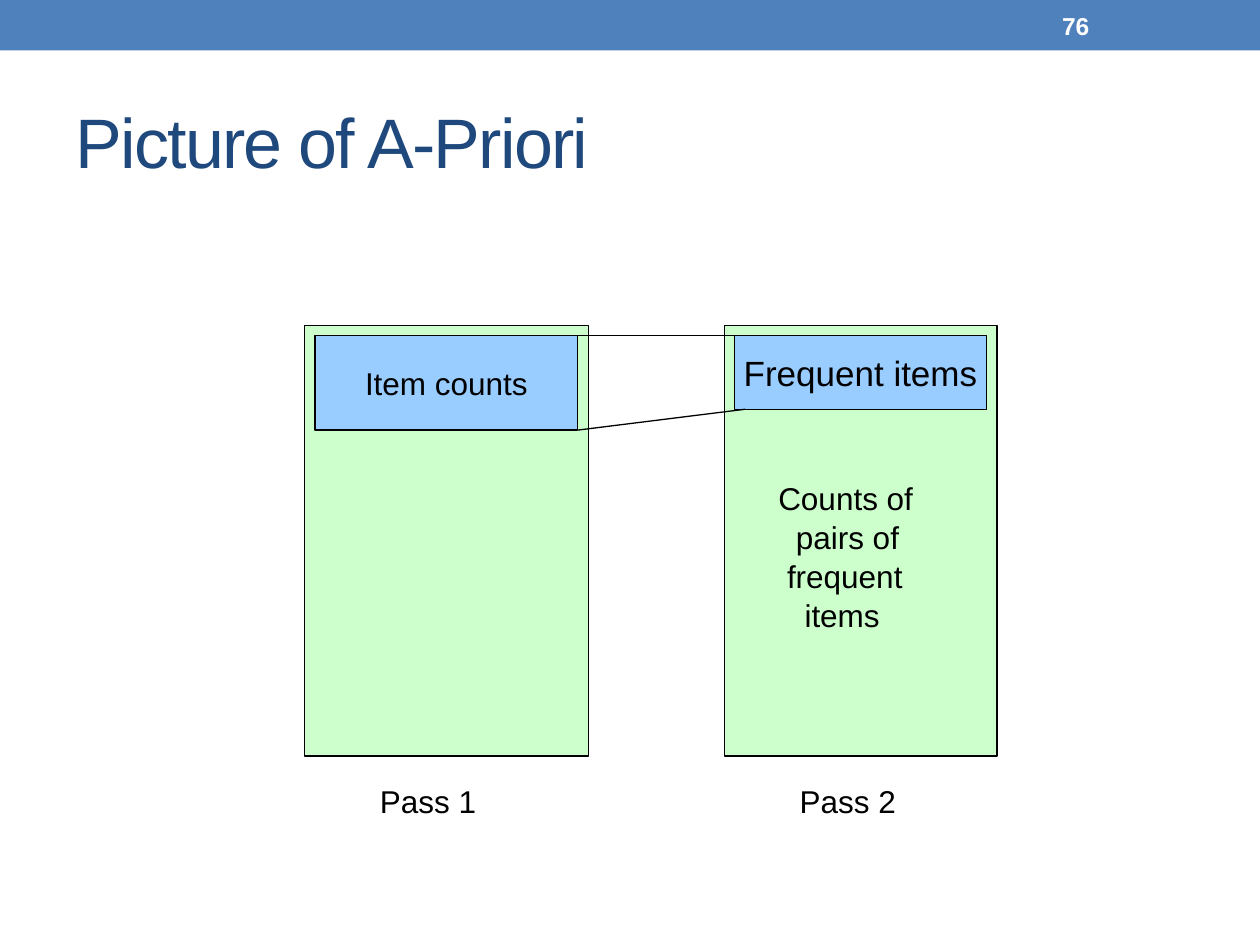
from lxml.etree import SubElement
from pptx import Presentation
from pptx.dml.color import RGBColor
from pptx.enum.shapes import MSO_CONNECTOR, MSO_SHAPE
from pptx.enum.text import MSO_ANCHOR, PP_ALIGN
from pptx.oxml.ns import qn
from pptx.util import Cm, Pt

COLORS = {
    "banner": "4F81BD",
    "title": "1F497D",
    "memory": "CCFFCC",
    "items": "99CCFF",
    "ink": "000000",
    "white": "FFFFFF",
}
FONT = "Arial"
MARGIN = 0.21  # gap between a memory panel and its item box, in cm


def color(name):
    return RGBColor.from_string(COLORS[name])


def write(shape, text, size=18, ink="ink", bold=False, align=PP_ALIGN.LEFT,
          anchor=MSO_ANCHOR.TOP, wrap=True, indents=(), gap=0):
    """Write one paragraph per line; indents are left margins in points."""
    frame = shape.text_frame
    frame.word_wrap = wrap
    frame.vertical_anchor = anchor
    frame.text = text
    for index, paragraph in enumerate(frame.paragraphs):
        if indents:
            paragraph._p.get_or_add_pPr().set("marL", str(Pt(indents[index])))
        if index:
            paragraph.space_before = Pt(gap)
        paragraph.alignment = align
        font = paragraph.runs[0].font
        font.name, font.size, font.bold = FONT, Pt(size), bold
        font.color.rgb = color(ink)


def add_text(slide, box, text, **style):
    write(slide.shapes.add_textbox(*map(Cm, box)), text, **style)


def add_box(slide, box, fill, outlined=True):
    shape = slide.shapes.add_shape(MSO_SHAPE.RECTANGLE, *map(Cm, box))
    shape.shadow.inherit = False
    shape.fill.solid()
    shape.fill.fore_color.rgb = color(fill)
    if outlined:
        shape.line.color.rgb = color("ink")
        shape.line.width = Pt(0.75)
    else:
        shape.line.fill.background()
    return shape


def add_line(slide, start, end):
    line = slide.shapes.add_connector(MSO_CONNECTOR.STRAIGHT, *map(Cm, start + end))
    line.line.color.rgb = color("ink")
    line.line.width = Pt(0.75)
    SubElement(line._element.spPr, qn("a:effectLst"))


def add_banner(slide, box, number):
    left, top, width, height = box
    add_box(slide, box, "banner", outlined=False)
    add_text(slide, (left + width - 4.24, top + 0.05, 2.97, height - 0.1), number,
             size=14, ink="white", bold=True, anchor=MSO_ANCHOR.MIDDLE)


def add_title(slide, box, text):
    title = slide.shapes.title
    title.left, title.top, title.width, title.height = map(Cm, box)
    write(title, text, size=40, ink="title", anchor=MSO_ANCHOR.MIDDLE)
    title.text_frame.paragraphs[0].runs[0].font._element.set("spc", "-100")


def add_pass(slide, box, label, items, items_height, items_size):
    """Draw the memory of one pass and return the box of its items."""
    left, top, width, height = box
    add_box(slide, box, "memory")
    items_box = (left + MARGIN, top + MARGIN, width - 2 * MARGIN, items_height)
    write(add_box(slide, items_box, "items"), items, size=items_size,
          align=PP_ALIGN.CENTER, anchor=MSO_ANCHOR.MIDDLE, wrap=False)
    add_text(slide, (left + 1.27, top + height + 0.4, 2.92, 1.27), label)
    return items_box


def add_pair_counts(slide, box):
    left, top, _, _ = box
    add_text(slide, (left + 0.84, top + 2.97, 4.06, 4.32),
             "Counts of\npairs of\nfrequent\nitems", indents=(0, 10, 5, 15), gap=0.8)


def link_items(slide, first, second):
    right = first[0] + first[2]
    add_line(slide, (right, first[1]), (second[0], second[1]))
    add_line(slide, (right, first[1] + first[3]),
             (second[0] + MARGIN, second[1] + second[3]))


def main():
    presentation = Presentation()
    presentation.slide_width, presentation.slide_height = Cm(25.4), Cm(19.05)
    slide = presentation.slides.add_slide(presentation.slide_layouts[5])
    add_banner(slide, (0, 0, 25.4, 1.02), "76")
    add_title(slide, (1.27, 1.47, 22.86, 2.74), "Picture of A-Priori")

    first_box = (6.14, 6.56, 5.72, 8.68)
    second_box = (14.6, 6.56, 5.5, 8.68)
    counts = add_pass(slide, first_box, "Pass 1", "Item counts", 1.9, 18)
    frequent = add_pass(slide, second_box, "Pass 2", "Frequent items", 1.48, 20)
    add_pair_counts(slide, second_box)
    link_items(slide, counts, frequent)
    presentation.save("out.pptx")


if __name__ == "__main__":
    main()
